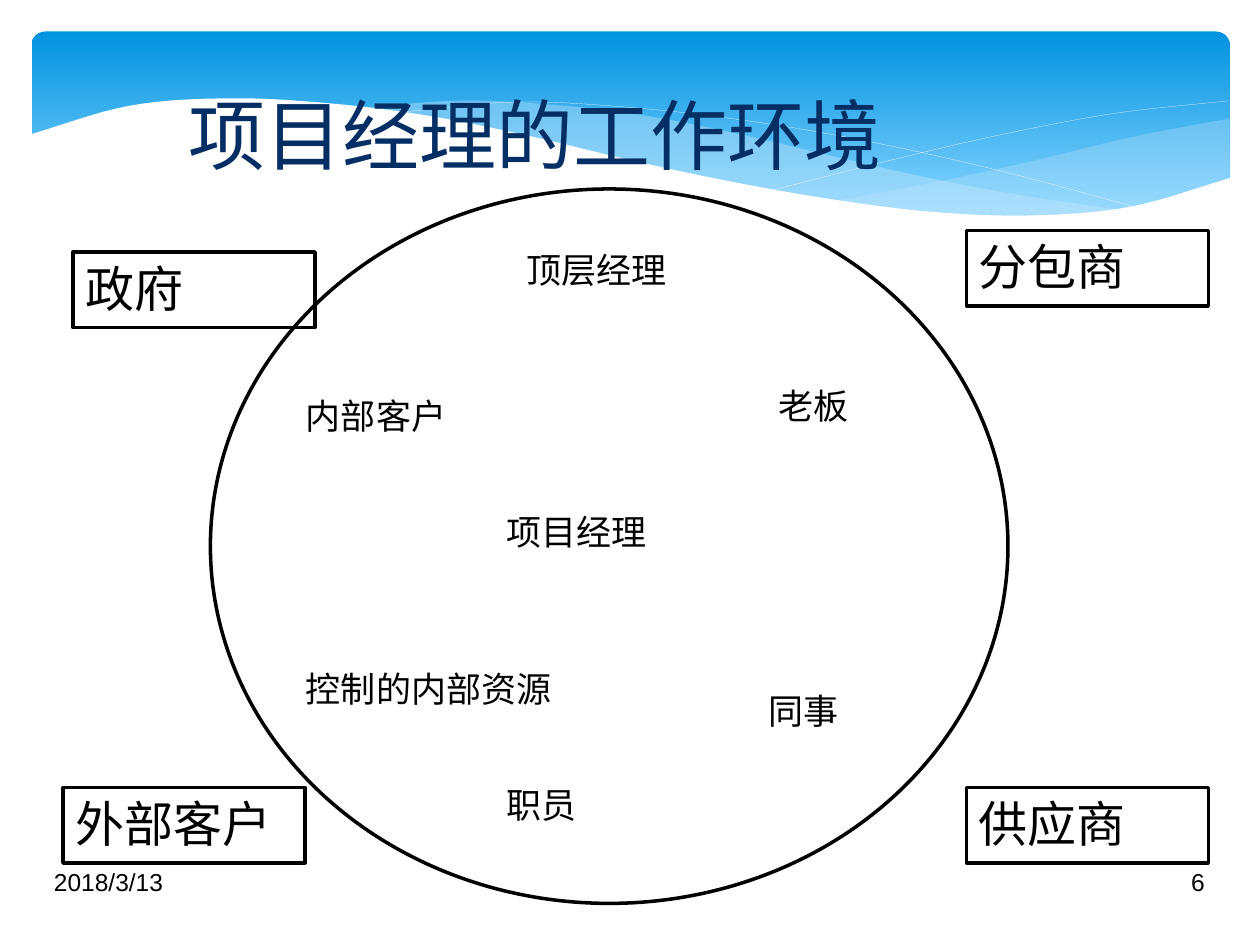
from lxml.etree import SubElement
from pptx import Presentation
from pptx.dml.color import RGBColor
from pptx.enum.lang import MSO_LANGUAGE_ID as Language
from pptx.enum.shapes import MSO_SHAPE as Shape
from pptx.enum.text import MSO_ANCHOR as Anchor, MSO_AUTO_SIZE as AutoSize, PP_ALIGN as Align
from pptx.oxml.ns import qn
from pptx.util import Inches, Pt

BLACK, WHITE, NAVY = "000000", "FFFFFF", "052E65"
SKY_TOP, SKY_BOTTOM, PALE_BLUE = "0293E0", "83D3FE", "C6E7FC"
LABEL_FONT = "Arial Narrow"
CURVE_STEPS = 8


def color(value):
    return RGBColor.from_string(value)


def write(shape, text, size, font, ink=BLACK, align=Align.LEFT, anchor=Anchor.TOP):
    frame = shape.text_frame
    frame.word_wrap = True
    frame.vertical_anchor = anchor
    para = frame.paragraphs[0]
    para.alignment = align
    span = para.add_run()
    span.text = text
    span.font.size = Pt(size)
    span.font.name = font
    span.font.language_id = Language.SIMPLIFIED_CHINESE
    span.font.color.rgb = color(ink)


deck = Presentation()
deck.slide_width, deck.slide_height = Inches(10), Inches(7.5)
page = deck.slides.add_slide(deck.slide_layouts[5])
shapes = page.shapes

banner = shapes.add_shape(Shape.ROUNDED_RECTANGLE, Inches(0.25), Inches(0.25), Inches(9.51), Inches(1.56))
banner.adjustments[0] = 0.07
banner.shadow.inherit = False
banner.line.fill.background()
banner.fill.gradient()
banner.fill.gradient_angle = 270
for stop, (position, value) in zip(banner.fill.gradient_stops, [(0, SKY_TOP), (0.9, SKY_BOTTOM)]):
    stop.position = position
    stop.color.rgb = color(value)

right_wave = {
    "span": (6.61, 9.76), "fill": PALE_BLUE, "opacity": 29,
    "edges": [[1.6, 1.45, 1.28, 1.09, 0.94], [1.6, 1.68, 1.72, 1.65, 1.41]],
}
middle_wave = {
    "span": (2.86, 8.93), "fill": PALE_BLUE, "opacity": 40,
    "edges": [[0.86, 0.8, 0.83, 0.92, 1.07, 1.25, 1.42, 1.56, 1.67],
              [0.86, 0.97, 1.13, 1.31, 1.48, 1.61, 1.7, 1.73, 1.67]],
}
falling_line = {"span": (3.09, 9.07), "edges": [[0.9, 0.81, 0.86, 0.98, 1.16, 1.39, 1.66]]}
rising_line = {"span": (6.13, 9.75), "edges": [[1.51, 1.28, 1.07, 0.9, 0.8]]}
white_wave = {
    "span": (0.23, 9.77), "fill": WHITE, "opacity": 100,
    "edges": [[1.07, 0.84, 0.78, 0.82, 0.92, 1.08, 1.27, 1.44, 1.58, 1.68, 1.71, 1.64, 1.41],
              [2.24, 2.24]],
}

for wave in [right_wave, middle_wave, falling_line, rising_line, white_wave]:
    start, end = wave["span"]
    outline = []
    for edge in wave["edges"]:
        gap = (end - start) / (len(edge) - 1)
        padded = [2 * edge[0] - edge[1], *edge, 2 * edge[-1] - edge[-2]]
        curve = []
        for index in range(len(edge) - 1):
            before, here, after, beyond = padded[index:index + 4]
            slope_here, slope_after = (after - before) / 2, (beyond - here) / 2
            for step in range(CURVE_STEPS):
                t = step / CURVE_STEPS
                blend = t * t * (3 - 2 * t)
                height = (here + (after - here) * blend
                          + slope_here * t * (1 - t) ** 2 - slope_after * t * t * (1 - t))
                curve.append((Inches(start + (index + t) * gap), Inches(height)))
        curve.append((Inches(end), Inches(edge[-1])))
        outline += curve[::-1] if outline else curve

    closed = "fill" in wave
    builder = shapes.build_freeform(*outline[0])
    builder.add_line_segments(outline[1:], close=closed)
    ribbon = builder.convert_to_shape()
    ribbon.shadow.inherit = False
    if closed:
        ribbon.line.fill.background()
        ribbon.fill.solid()
        ribbon.fill.fore_color.rgb = color(wave["fill"])
        tint = ribbon._element.spPr.find(qn("a:solidFill"))[0]
        SubElement(tint, qn("a:alpha")).set("val", str(wave["opacity"] * 1000))
    else:
        ribbon.fill.background()
        ribbon.line.color.rgb = color(WHITE)
        ribbon.line.width = Pt(0.1)

for left, text, align in [(0.33, "2018/3/13", Align.LEFT), (7.16, "6", Align.RIGHT)]:
    box = shapes.add_textbox(Inches(left), Inches(6.83), Inches(2.5), Inches(0.52))
    write(box, text, 14, "Arial", align=align)

title = shapes.title
title.left, title.top, title.width, title.height = Inches(0), Inches(0.44), Inches(8.5), Inches(1.25)
write(title, "项目经理的工作环境", 44, "Noto Sans CJK SC", NAVY, Align.CENTER, Anchor.MIDDLE)
shapes._spTree.append(title._element)

organisation = (Shape.OVAL, 1.67, 1.5, 6.33, 5.67, "")
outsiders = [
    (Shape.RECTANGLE, left, top, 1.92, 0.6, text)
    for left, top, text in [
        (0.58, 2, "政府"),
        (7.67, 1.83, "分包商"),
        (0.5, 6.25, "外部客户"),
        (7.67, 6.25, "供应商"),
    ]
]
for kind, left, top, width, height, text in [organisation, *outsiders]:
    shape = shapes.add_shape(kind, Inches(left), Inches(top), Inches(width), Inches(height))
    shape.shadow.inherit = False
    shape.fill.background()
    shape.line.color.rgb = color(BLACK)
    shape.line.width = Pt(2)
    if text:
        write(shape, text, 28, LABEL_FONT)
        shape.text_frame.auto_size = AutoSize.SHAPE_TO_FIT_TEXT

insiders = [
    (3.92, 4, 2.17, "项目经理"),
    (4.08, 1.92, 1.5, "顶层经理"),
    (3.92, 6.17, 1.25, "职员"),
    (2.33, 3.08, 1.5, "内部客户"),
    (6.08, 3, 1.5, "老板"),
    (2.33, 5.25, 2.33, "控制的内部资源"),
    (6, 5.42, 1.5, "同事"),
]
for left, top, width, text in insiders:
    box = shapes.add_textbox(Inches(left), Inches(top), Inches(width), Inches(0.43))
    write(box, text, 20, LABEL_FONT)
    box.text_frame.auto_size = AutoSize.SHAPE_TO_FIT_TEXT

deck.save("out.pptx")
